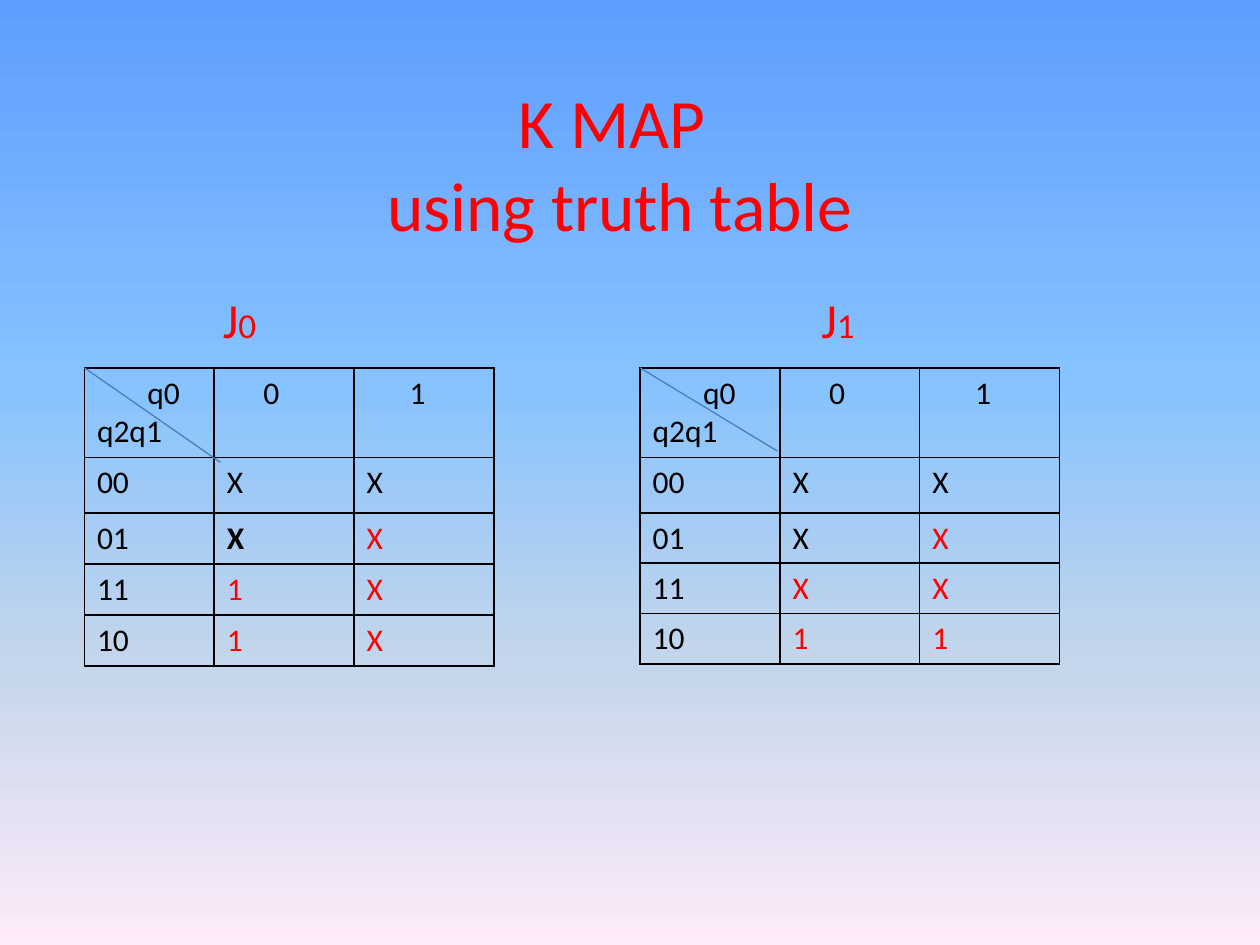
from dataclasses import dataclass

from lxml.etree import SubElement
from pptx import Presentation
from pptx.dml.color import RGBColor
from pptx.enum.shapes import MSO_CONNECTOR
from pptx.enum.text import MSO_ANCHOR, MSO_AUTO_SIZE, PP_ALIGN
from pptx.oxml.ns import qn
from pptx.slide import Slide
from pptx.table import _Cell as Cell
from pptx.util import Inches, Pt

BLACK = RGBColor(0x00, 0x00, 0x00)
RED = RGBColor(0xFF, 0x00, 0x00)
DIAGONAL_BLUE = RGBColor(0x4B, 0x7E, 0xBC)
BACKGROUND_STOPS = (
    (0, RGBColor(0x5E, 0x9E, 0xFF)),
    (40, RGBColor(0x85, 0xC2, 0xFF)),
    (70, RGBColor(0xC4, 0xD6, 0xEB)),
    (100, RGBColor(0xFF, 0xEB, 0xFA)),
)
FONT = "Calibri"
MAP_TOP = 2.92
ROW_HEIGHTS = (0.71, 0.44, 0.4, 0.4, 0.4)
ROW_LABELS = ("00", "01", "11", "10")
COLUMN_INDENTS = (0.29, 0.34)


@dataclass(frozen=True)
class KarnaughMap:
    subscript: str
    label_left: float
    label_width: float
    left: float
    column_widths: tuple[float, ...]
    values: tuple[str, ...]  # one string per row, one letter per column
    red_cells: frozenset[tuple[int, int]]
    bold_cells: frozenset[tuple[int, int]]
    diagonal_end: tuple[float, float]


KARNAUGH_MAPS = (
    KarnaughMap("0", 1.67, 0.83, 0.67, (1.03, 1.11, 1.11),
                ("XX", "XX", "1X", "1X"),
                frozenset({(1, 1), (2, 0), (2, 1), (3, 0), (3, 1)}),
                frozenset({(1, 0)}), (1.75, 3.67)),
    KarnaughMap("1", 6.42, 0.75, 5.08, (1.11, 1.11, 1.11),
                ("XX", "XX", "XX", "11"),
                frozenset({(1, 1), (2, 0), (2, 1), (3, 0), (3, 1)}),
                frozenset(), (6.17, 3.58)),
)


def add_run(paragraph, text: str, size: float, color: RGBColor, bold: bool = False) -> None:
    run = paragraph.add_run()
    run.text = text
    run.font.name = FONT
    run.font.size = Pt(size)
    run.font.bold = bold
    run.font.color.rgb = color


def set_background(slide: Slide) -> None:
    fill = slide.background.fill
    fill.gradient()
    fill.gradient_angle = 270
    stop_list = slide.element.find(".//" + qn("a:gsLst"))
    for stop in list(stop_list):
        stop_list.remove(stop)
    for percent, color in BACKGROUND_STOPS:
        stop = SubElement(stop_list, qn("a:gs"), pos=str(percent * 1000))
        SubElement(stop, qn("a:srgbClr"), val=str(color))


def add_title(slide: Slide) -> None:
    title = slide.shapes.title
    title.left, title.top = Inches(0.42), Inches(-0.17)
    title.width, title.height = Inches(9), Inches(2.25)
    frame = title.text_frame
    frame.auto_size = MSO_AUTO_SIZE.NONE
    frame.vertical_anchor = MSO_ANCHOR.MIDDLE
    frame.margin_top = Inches(0.72)
    paragraph = frame.paragraphs[0]
    paragraph.alignment = PP_ALIGN.CENTER
    add_run(paragraph, "K MAP ", 39.6, RED)
    paragraph.add_line_break()
    add_run(paragraph, "using truth table", 39.6, RED)


def add_label(slide: Slide, karnaugh_map: KarnaughMap) -> None:
    label = slide.shapes.add_textbox(Inches(karnaugh_map.label_left), Inches(2.25),
                                     Inches(karnaugh_map.label_width), Inches(0.57))
    label.text_frame.word_wrap = True
    paragraph = label.text_frame.paragraphs[0]
    add_run(paragraph, "J", 28, RED)
    add_run(paragraph, karnaugh_map.subscript, 20, RED)


def style_cell(cell: Cell) -> None:
    properties = cell._tc.get_or_add_tcPr()
    for side in ("a:lnL", "a:lnR", "a:lnT", "a:lnB"):
        border = SubElement(properties, qn(side), w=str(Pt(1)))
        border_fill = SubElement(border, qn("a:solidFill"))
        SubElement(border_fill, qn("a:srgbClr"), val=str(BLACK))
    cell.fill.background()


def write_cell(paragraph, text: str, color: RGBColor = BLACK,
               bold: bool = False, indent: float = 0) -> None:
    if indent:
        paragraph._p.get_or_add_pPr().set("marL", str(Inches(indent)))
    add_run(paragraph, text, 18, color, bold)


def add_map(slide: Slide, karnaugh_map: KarnaughMap) -> None:
    widths = karnaugh_map.column_widths
    table = slide.shapes.add_table(
        len(ROW_HEIGHTS), len(widths), Inches(karnaugh_map.left), Inches(MAP_TOP),
        Inches(sum(widths)), Inches(sum(ROW_HEIGHTS))).table
    table.first_row = table.horz_banding = False
    for column, width in zip(table.columns, widths):
        column.width = Inches(width)
    for row, height in zip(table.rows, ROW_HEIGHTS):
        row.height = Inches(height)
    for cell in table.iter_cells():
        style_cell(cell)

    # Header row, with both variables in the corner
    corner = table.cell(0, 0).text_frame
    write_cell(corner.paragraphs[0], "q0", indent=0.4)
    write_cell(corner.add_paragraph(), "q2q1")
    for column, indent in enumerate(COLUMN_INDENTS):
        header = table.cell(0, column + 1).text_frame.paragraphs[0]
        write_cell(header, str(column), indent=indent)

    # Row labels and values
    for row, (row_label, values) in enumerate(zip(ROW_LABELS, karnaugh_map.values)):
        write_cell(table.cell(row + 1, 0).text_frame.paragraphs[0], row_label)
        for column, value in enumerate(values):
            position = (row, column)
            write_cell(table.cell(row + 1, column + 1).text_frame.paragraphs[0], value,
                       RED if position in karnaugh_map.red_cells else BLACK,
                       position in karnaugh_map.bold_cells)


def add_diagonal(slide: Slide, karnaugh_map: KarnaughMap) -> None:
    end_x, end_y = karnaugh_map.diagonal_end
    diagonal = slide.shapes.add_connector(
        MSO_CONNECTOR.STRAIGHT, Inches(karnaugh_map.left), Inches(MAP_TOP),
        Inches(end_x), Inches(end_y))
    diagonal.line.color.rgb = DIAGONAL_BLUE
    diagonal.line.width = Pt(0.75)
    SubElement(diagonal._element.spPr, qn("a:effectLst"))


def main() -> None:
    presentation = Presentation()
    presentation.slide_width, presentation.slide_height = Inches(10), Inches(7.5)
    slide = presentation.slides.add_slide(presentation.slide_layouts[5])
    set_background(slide)
    add_title(slide)
    for karnaugh_map in KARNAUGH_MAPS:
        add_map(slide, karnaugh_map)
        add_label(slide, karnaugh_map)
        add_diagonal(slide, karnaugh_map)
    presentation.save("out.pptx")


if __name__ == "__main__":
    main()
